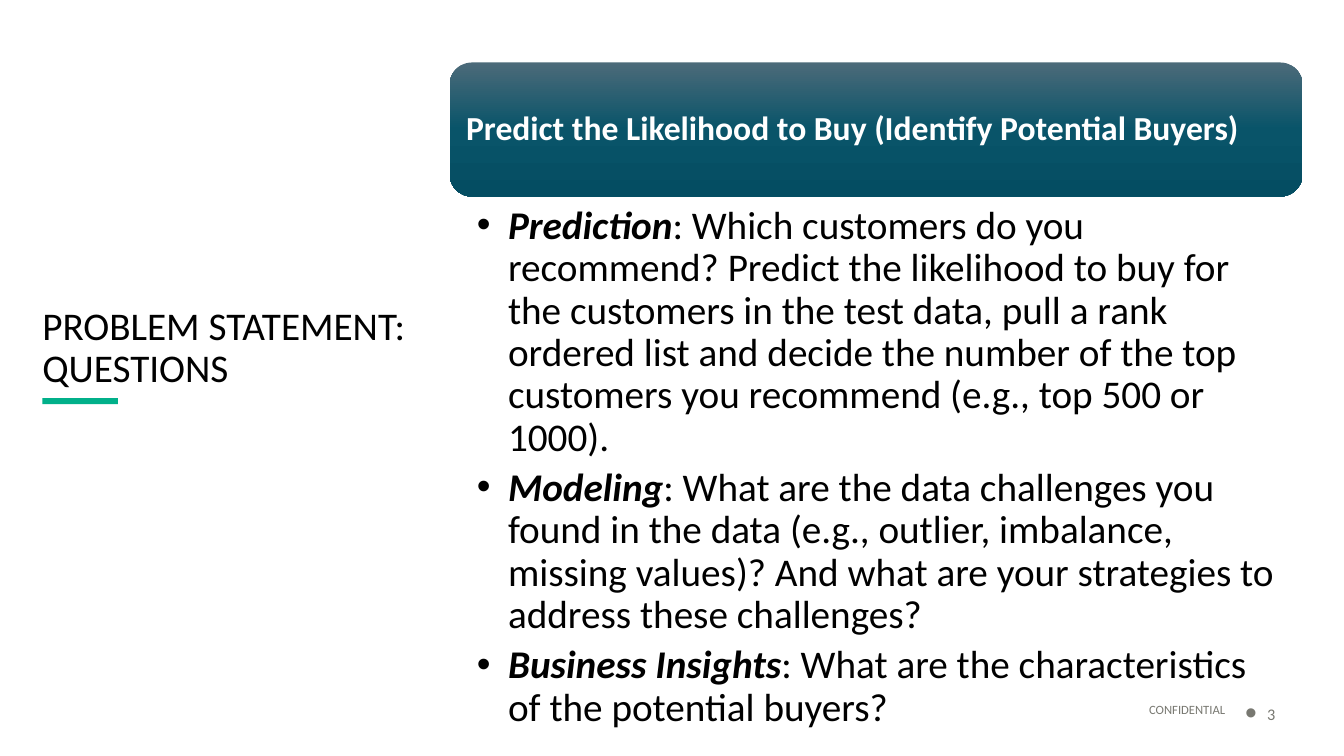
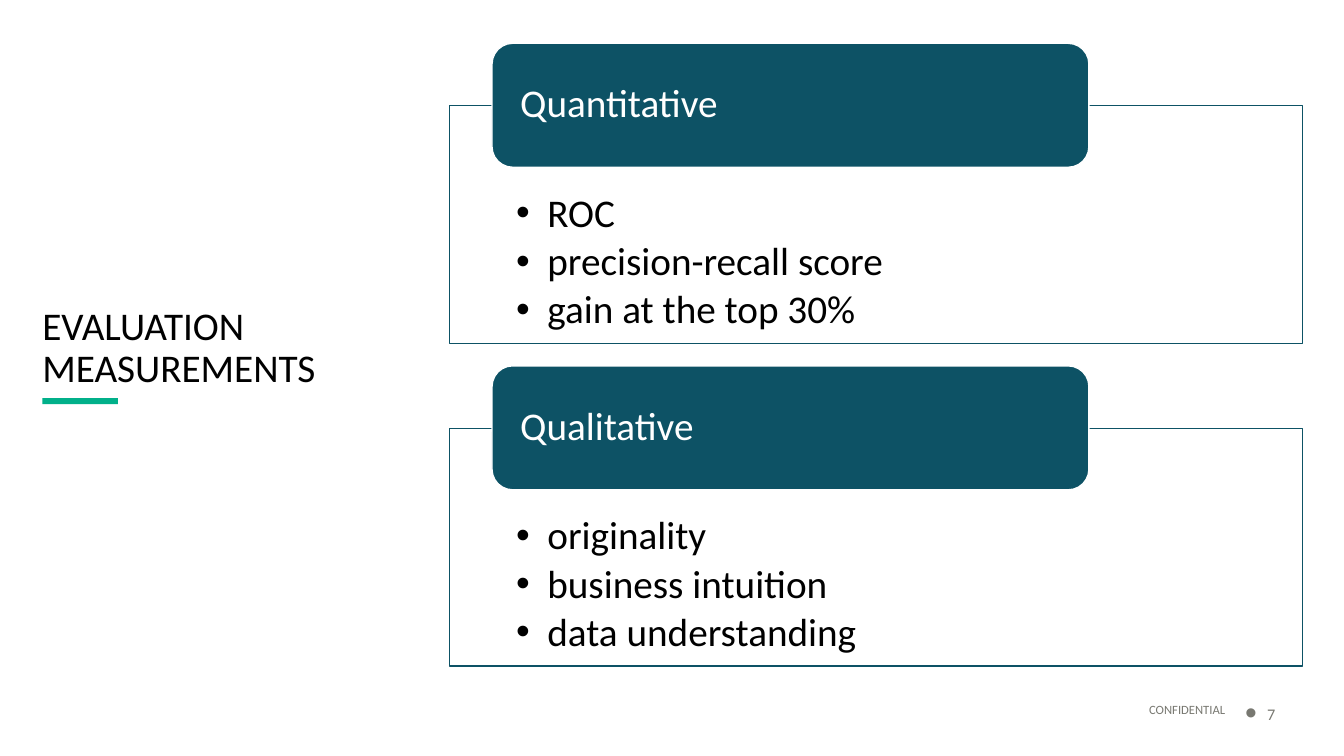
from copy import deepcopy

from lxml import etree
from pptx import Presentation
from pptx.dml.color import RGBColor
from pptx.enum.shapes import MSO_SHAPE as SHAPE
from pptx.enum.text import MSO_ANCHOR as ANCHOR, MSO_AUTO_SIZE as AUTO_SIZE, PP_ALIGN as ALIGN
from pptx.oxml.ns import qn
from pptx.util import Inches, Pt

FONT = "Calibri"
BLACK, WHITE, GRAY = "000000", "FFFFFF", "787871"
GREEN, TEAL = "01B08A", "0D5265"
HEADER_GRADIENT = [(0, "4B6A79"), (0.5, "095469"), (1, "044D62")]
CONTENT_LEFT, CONTENT_WIDTH = 4.46, 8.46


def color(value):
    return RGBColor.from_string(value)


def write(box, paragraphs, size, text_color, margins=(0.1, 0.05, 0.1, 0.05), anchor=ANCHOR.TOP,
          align=ALIGN.LEFT, after=0, indent=0, bullet_size=100):
    """Fill a box with paragraphs, each a (bold italic lead, text) pair; an indent adds bullets."""
    frame = box.text_frame
    frame.word_wrap, frame.auto_size, frame.vertical_anchor = True, AUTO_SIZE.NONE, anchor
    frame.margin_left, frame.margin_top, frame.margin_right, frame.margin_bottom = map(Inches, margins)
    for index, (lead, text) in enumerate(paragraphs):
        para = frame.add_paragraph() if index else frame.paragraphs[0]
        para.alignment, para.line_spacing = align, 0.9
        para.space_before, para.space_after = Pt(0), Pt(after)
        for words, strong in ((lead, True), (text, False)):
            if words:
                span = para.add_run()
                span.text = words
                span.font.name, span.font.size = FONT, Pt(size)
                span.font.bold = span.font.italic = strong
                span.font.color.rgb = color(text_color)
        if indent:
            properties = para._p.get_or_add_pPr()
            properties.set("marL", str(Inches(indent)))
            properties.set("indent", str(-Inches(indent)))
            etree.SubElement(properties, qn("a:buSzPct")).set("val", str(bullet_size * 1000))
            etree.SubElement(properties, qn("a:buFont")).set("typeface", "Arial")
            etree.SubElement(properties, qn("a:buChar")).set("char", "•")


deck = Presentation()
deck.slide_width, deck.slide_height = Inches(13.33), Inches(7.5)

# Shared parts: title, accent bar, footer and page number
pages = []
for title_text, number in [("PROBLEM STATEMENT: QUESTIONS", "3"), ("EVALUATION MEASUREMENTS", "7")]:
    page = deck.slides.add_slide(deck.slide_layouts[5])
    pages.append(page)

    accent = page.shapes.add_shape(SHAPE.RECTANGLE, Inches(0.42), Inches(3.95), Inches(0.75), Inches(0.06))
    accent.shadow.inherit = False
    accent.fill.solid()
    accent.fill.fore_color.rgb = color(GREEN)
    accent.line.fill.background()

    title = page.shapes.title
    title.left, title.top, title.width, title.height = map(Inches, (0.42, 2.93, 3.87, 0.95))
    write(title, [("", title_text)], 28, BLACK, margins=(0, 0, 0, 0), anchor=ANCHOR.BOTTOM)

    footer = page.shapes.add_textbox(Inches(7.75), Inches(6.93), Inches(4.5), Inches(0.24))
    write(footer, [("", "CONFIDENTIAL")], 9, GRAY, align=ALIGN.RIGHT, after=6)

    page_number = page.shapes.add_textbox(Inches(12.25), Inches(6.89), Inches(0.75), Inches(0.4))
    write(page_number, [("", number)], 20, GRAY, anchor=ANCHOR.MIDDLE, after=6, indent=0.22, bullet_size=120)
    page_number.text_frame.paragraphs[0].runs[0].font._element.set("baseline", "10000")

questions_page, measures_page = pages

# Questions: gradient header
header = questions_page.shapes.add_shape(
    SHAPE.ROUNDED_RECTANGLE, Inches(CONTENT_LEFT), Inches(0.62), Inches(CONTENT_WIDTH), Inches(1.33))
header.shadow.inherit = False
header.line.fill.background()
header.fill.gradient()
header.fill.gradient_angle = 270
first_stop = header.fill.gradient_stops[0]._gs
first_stop.addnext(deepcopy(first_stop))
for stop, (position, stop_color) in zip(header.fill.gradient_stops, HEADER_GRADIENT):
    stop.position = position
    stop.color.rgb = color(stop_color)
write(header, [("", "Predict the Likelihood to Buy (Identify Potential Buyers)")], 24, WHITE,
      margins=(0.1, 0.1, 0.1, 0.1), anchor=ANCHOR.MIDDLE)
header.text_frame.paragraphs[0].runs[0].font.bold = True

# Questions: bullet list
questions = [
    ("Prediction", ": Which customers do you recommend? Predict the likelihood to buy for the customers "
     "in the test data, pull a rank ordered list and decide the number of the top customers you "
     "recommend (e.g., top 500 or 1000)."),
    ("Modeling", ": What are the data challenges you found in the data (e.g., outlier, imbalance, "
     "missing values)? And what are your strategies to address these challenges?"),
    ("Business Insights", ": What are the characteristics of the potential buyers?"),
]
question_list = questions_page.shapes.add_textbox(
    Inches(CONTENT_LEFT), Inches(2), Inches(CONTENT_WIDTH), Inches(4.41))
write(question_list, questions, 28, BLACK, margins=(0.27, 0.04, 0.22, 0.04), after=5.6, indent=0.31)

# Measurements: two framed lists, each with a tab over its top edge
measures = [
    ("Quantitative", ["ROC", "precision-recall score", "gain at the top 30%"]),
    ("Qualitative", ["originality", "business intuition", "data understanding"]),
]
for index, (heading, items) in enumerate(measures):
    top = 0.43 + index * 3.2
    panel = measures_page.shapes.add_shape(
        SHAPE.RECTANGLE, Inches(CONTENT_LEFT), Inches(top + 0.62), Inches(CONTENT_WIDTH), Inches(2.36))
    tab = measures_page.shapes.add_shape(
        SHAPE.ROUNDED_RECTANGLE, Inches(4.88), Inches(top), Inches(5.92), Inches(1.23))
    for box, fill_color, line_color in ((panel, WHITE, TEAL), (tab, TEAL, WHITE)):
        box.shadow.inherit = False
        box.fill.solid()
        box.fill.fore_color.rgb = color(fill_color)
        box.line.color.rgb = color(line_color)
        box.line.width = Pt(1)
    write(panel, [("", item) for item in items], 28, BLACK, margins=(0.66, 0.87, 0.66, 0.22),
          after=4.2, indent=0.31)
    write(tab, [("", heading)], 28, WHITE, margins=(0.22, 0, 0.22, 0), anchor=ANCHOR.MIDDLE)

deck.save("out.pptx")
